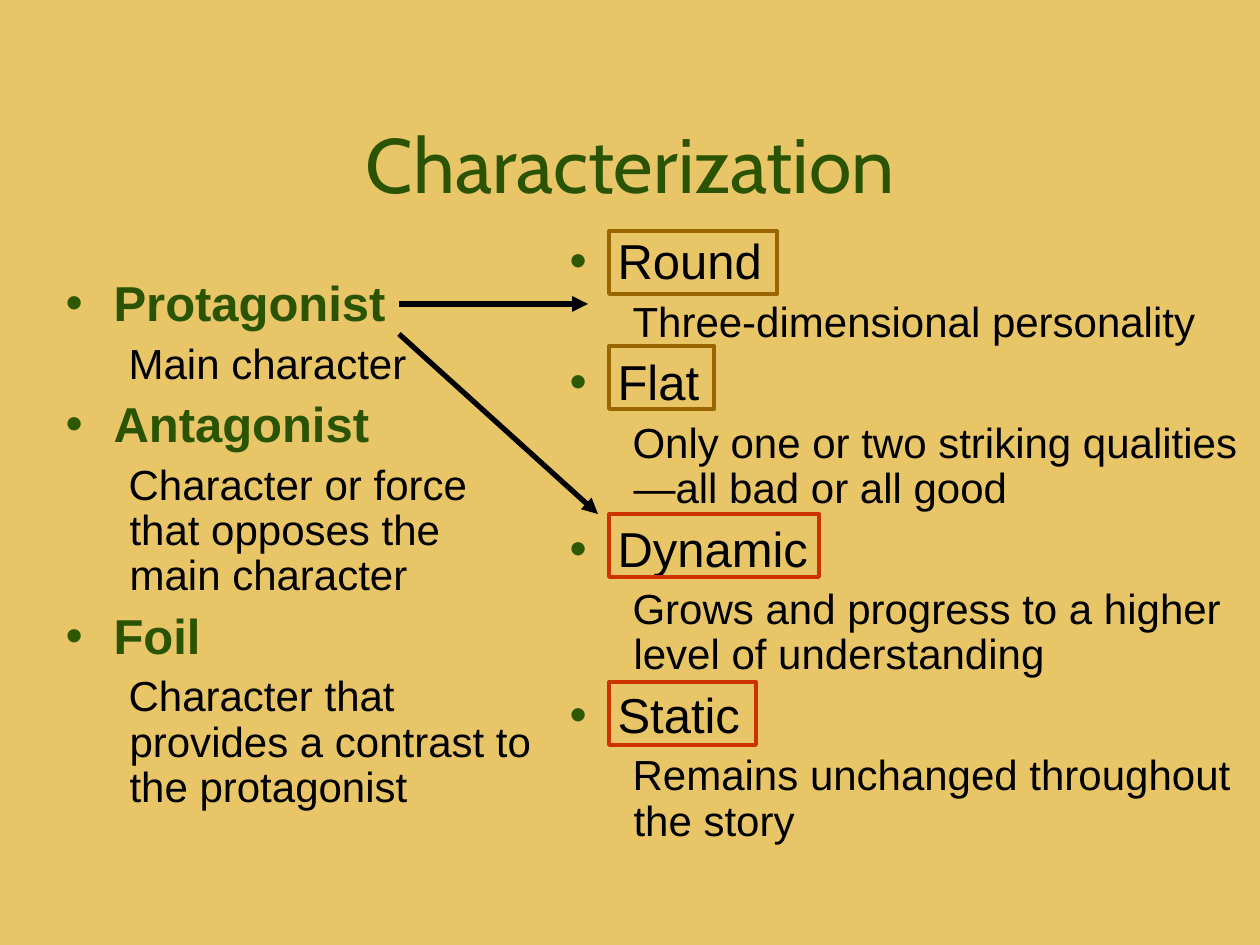
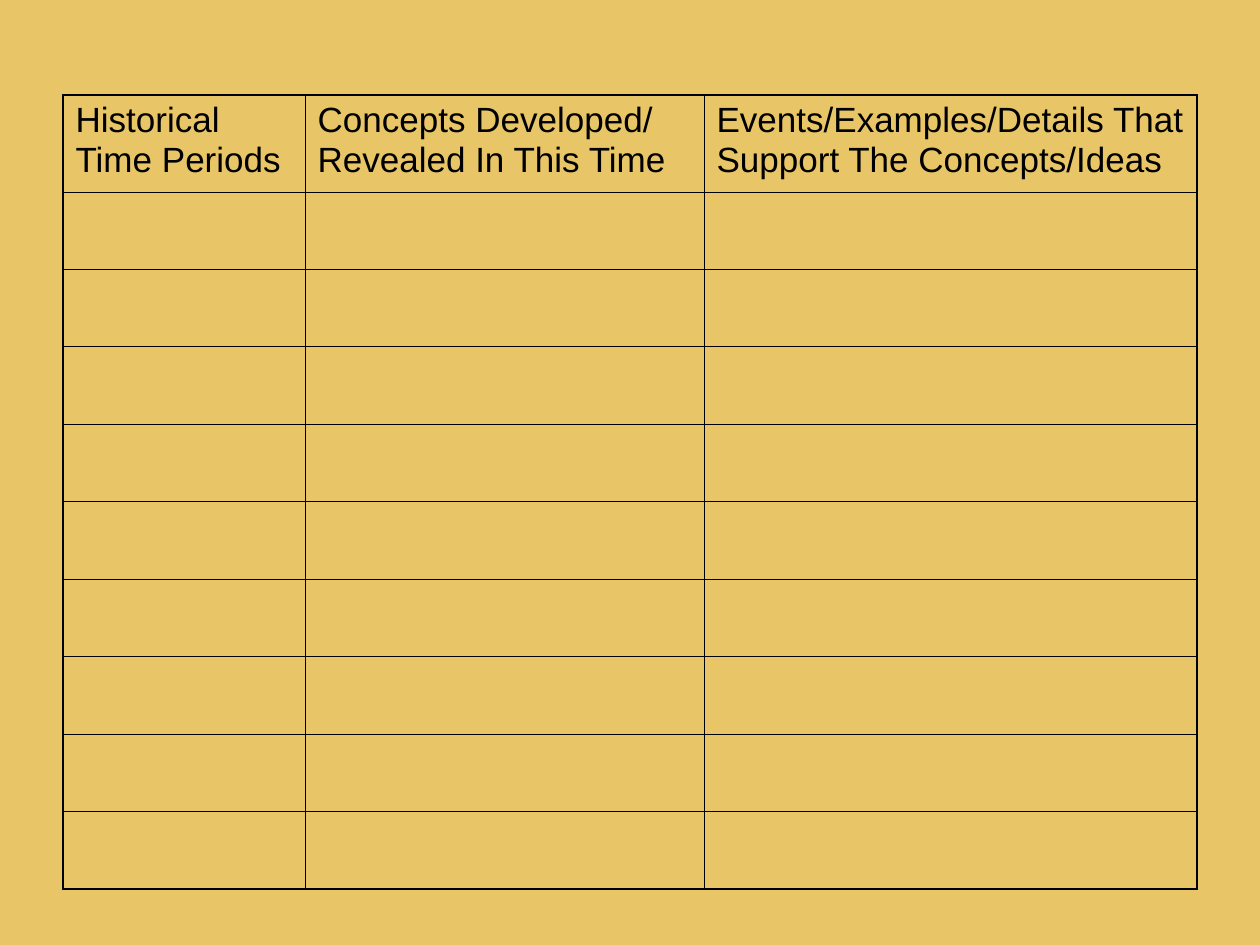
from dataclasses import dataclass

from lxml.etree import SubElement
from pptx import Presentation
from pptx.dml.color import RGBColor
from pptx.enum.shapes import MSO_CONNECTOR, MSO_SHAPE
from pptx.enum.text import MSO_ANCHOR, MSO_AUTO_SIZE, PP_ALIGN
from pptx.oxml.ns import qn
from pptx.util import Pt

# Content
TITLE = "Characterization"
ROLES = [
    ("Protagonist", "Main character"),
    ("Antagonist", "Character or force that opposes the main character"),
    ("Foil", "Character that provides a contrast to the protagonist"),
]
TRAITS = [
    ("Round", "Three-dimensional personality"),
    ("Flat", "Only one or two striking qualities—all bad or all good"),
    ("Dynamic", "Grows and progress to a higher level of understanding"),
    ("Static", "Remains unchanged throughout the story"),
]
TABLE_HEADERS = [
    "Historical Time Periods",
    "Concepts Developed/ Revealed In This Time",
    "Events/Examples/Details That Support The Concepts/Ideas",
]
EMPTY_ROWS = 9


@dataclass(frozen=True)
class Theme:
    background: str = "E8C567"
    heading: str = "2A5401"
    bullet: str = "2D5902"
    ink: str = "000000"
    depth_frame: str = "996600"
    change_frame: str = "CC3300"
    title_font: str = "Cabin"
    body_font: str = "Arial"
    title_size: float = 44
    term_size: float = 28
    meaning_size: float = 24
    table_size: float = 20
    arrow_width: float = 3
    frame_width: float = 2.25
    outer_border: float = 1.08
    inner_border: float = 0.45


THEME = Theme()

# Layout in px, 126 to the inch
SLIDE_SIZE = (1260, 945)
TITLE_BOX = (95, 84, 1071, 158)
ROLES_BOX = (53, 273, 494, 567)
TRAITS_BOX = (557, 231, 703, 662)
TERM_INDENT = 48
MEANING_INDENT, MEANING_HANG = 64, 1
ARROWS = [(399, 304, 588, 304), (399, 334, 598, 514)]
FRAME_LEFT, FRAME_HEIGHT = 609, 63
FRAMES = [  # top, width, colour
    (231, 168, THEME.depth_frame),
    (346, 105, THEME.depth_frame),
    (514, 210, THEME.change_frame),
    (682, 147, THEME.change_frame),
]
TABLE_LEFT, TABLE_TOP, TABLE_HEIGHT = 63, 95, 794
HEADER_HEIGHT = 97
COLUMN_WIDTHS = [242, 399, 493]


def px(length):
    return round(length * 914400 / 126)


def px_all(lengths):
    return [px(length) for length in lengths]


def color(value):
    return RGBColor.from_string(value)


def style_font(font, size, value, name=THEME.body_font, bold=False):
    font.name, font.size, font.bold = name, Pt(size), bold
    font.color.rgb = color(value)


def place(shape, box):
    shape.left, shape.top, shape.width, shape.height = px_all(box)


def set_indent(paragraph, left, hang, bullet=None):
    properties = paragraph._p.get_or_add_pPr()
    properties.set("marL", str(px(left)))
    properties.set("indent", str(-px(hang)))
    if bullet is None:
        SubElement(properties, qn("a:buNone"))
        return
    bullet_color = SubElement(properties, qn("a:buClr"))
    SubElement(bullet_color, qn("a:srgbClr"), val=THEME.bullet)
    SubElement(properties, qn("a:buFont"), typeface=THEME.body_font)
    SubElement(properties, qn("a:buChar"), char=bullet)


def fill_title(shape):
    place(shape, TITLE_BOX)
    text_frame = shape.text_frame
    text_frame.text = TITLE
    text_frame.vertical_anchor = MSO_ANCHOR.MIDDLE
    paragraph = text_frame.paragraphs[0]
    paragraph.alignment = PP_ALIGN.CENTER
    style_font(paragraph.runs[0].font, THEME.title_size, THEME.heading, THEME.title_font)


def fill_terms(shape, box, terms, term_color, bold):
    place(shape, box)
    text_frame = shape.text_frame
    text_frame.text = "\n".join(line for pair in terms for line in pair)
    text_frame.word_wrap = True
    text_frame.auto_size = MSO_AUTO_SIZE.NONE
    text_frame.vertical_anchor = MSO_ANCHOR.TOP
    for index, paragraph in enumerate(text_frame.paragraphs):
        is_term = index % 2 == 0
        paragraph.level = 0 if is_term else 1
        paragraph.line_spacing = 0.9
        paragraph.space_before = Pt(0 if index == 0 else 7 if is_term else 6)
        font = paragraph.runs[0].font
        if is_term:
            set_indent(paragraph, TERM_INDENT, TERM_INDENT, "•")
            style_font(font, THEME.term_size, term_color, bold=bold)
        else:
            set_indent(paragraph, MEANING_INDENT, MEANING_HANG)
            style_font(font, THEME.meaning_size, THEME.ink)


def add_arrow(slide, ends):
    arrow = slide.shapes.add_connector(MSO_CONNECTOR.STRAIGHT, *px_all(ends))
    arrow.line.color.rgb = color(THEME.ink)
    arrow.line.width = Pt(THEME.arrow_width)
    SubElement(arrow.line._get_or_add_ln(), qn("a:tailEnd"), type="triangle")
    SubElement(arrow._element.spPr, qn("a:effectLst"))


def add_frame(slide, top, width, line_color):
    box = (FRAME_LEFT, top, width, FRAME_HEIGHT)
    frame = slide.shapes.add_shape(MSO_SHAPE.RECTANGLE, *px_all(box))
    frame.shadow.inherit = False
    frame.fill.background()
    frame.line.color.rgb = color(line_color)
    frame.line.width = Pt(THEME.frame_width)


def set_borders(cell, outer_sides):
    properties = cell._tc.get_or_add_tcPr()
    for side in "LRTB":
        width = THEME.outer_border if side in outer_sides else THEME.inner_border
        line = SubElement(properties, qn(f"a:ln{side}"), w=str(Pt(width)))
        fill = SubElement(line, qn("a:solidFill"))
        SubElement(fill, qn("a:srgbClr"), val=THEME.ink)


def build_characterization(presentation):
    slide = presentation.slides.add_slide(presentation.slide_layouts[3])
    title, roles, traits = slide.placeholders
    fill_title(title)
    fill_terms(roles, ROLES_BOX, ROLES, THEME.heading, bold=True)
    fill_terms(traits, TRAITS_BOX, TRAITS, THEME.ink, bold=False)
    for ends in ARROWS:
        add_arrow(slide, ends)
    for frame in FRAMES:
        add_frame(slide, *frame)


def build_time_periods(presentation):
    slide = presentation.slides.add_slide(presentation.slide_layouts[6])
    row_count, column_count = EMPTY_ROWS + 1, len(TABLE_HEADERS)
    box = (TABLE_LEFT, TABLE_TOP, sum(COLUMN_WIDTHS), TABLE_HEIGHT)
    table = slide.shapes.add_table(row_count, column_count, *px_all(box)).table
    table.first_row = table.horz_banding = False

    # Grid
    for column, width in zip(table.columns, COLUMN_WIDTHS):
        column.width = px(width)
    empty_height = (TABLE_HEIGHT - HEADER_HEIGHT) / EMPTY_ROWS
    for index, row in enumerate(table.rows):
        row.height = px(empty_height if index else HEADER_HEIGHT)

    # Borders, heavier around the outside
    for row in range(row_count):
        for column in range(column_count):
            cell = table.cell(row, column)
            edges = {"L": column == 0, "R": column == column_count - 1,
                     "T": row == 0, "B": row == row_count - 1}
            set_borders(cell, [side for side, outer in edges.items() if outer])
            cell.fill.background()

    # Header text
    for column, header in enumerate(TABLE_HEADERS):
        text_frame = table.cell(0, column).text_frame
        text_frame.text = header
        style_font(text_frame.paragraphs[0].runs[0].font, THEME.table_size, THEME.ink)


def main():
    presentation = Presentation()
    presentation.slide_width, presentation.slide_height = px_all(SLIDE_SIZE)
    background = presentation.slide_master.background.fill
    background.solid()
    background.fore_color.rgb = color(THEME.background)
    build_characterization(presentation)
    build_time_periods(presentation)
    presentation.save("out.pptx")


if __name__ == "__main__":
    main()
